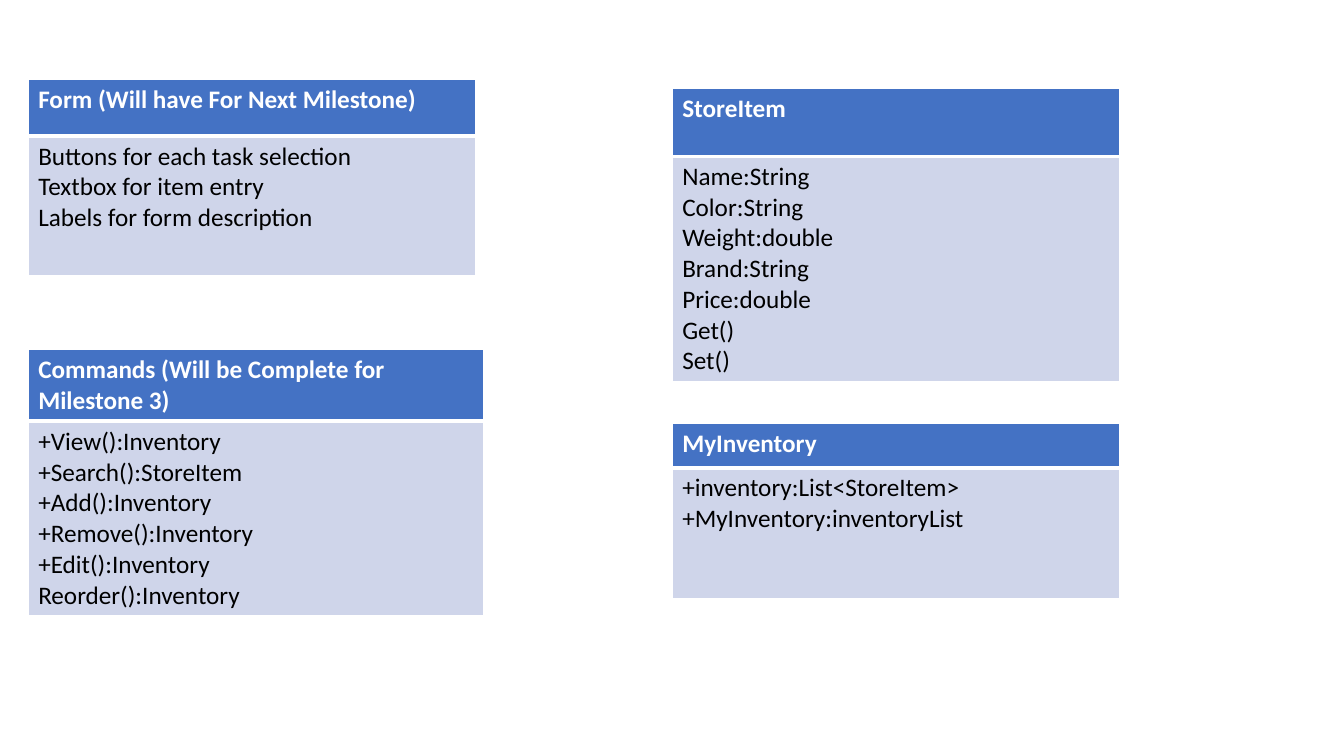
from lxml.etree import SubElement
from pptx import Presentation
from pptx.dml.color import RGBColor
from pptx.oxml.ns import qn
from pptx.util import Cm, Pt

LEFT_COLUMN, RIGHT_COLUMN = 0.71, 16.94
BOX_WIDTH = 11.28


def color(hex_string):
    return RGBColor.from_string(hex_string)


class ClassDiagram:
    font = "Calibri"
    size = 18
    white, black = "FFFFFF", "000000"
    header_fill, body_fill = "4472C4", "CFD5EA"
    thin, thick = 1, 3

    def __init__(self, slide):
        self.slide = slide

    def borders(self, cell, top, bottom):
        """Draw white cell borders; top and bottom are widths in points."""
        properties = cell._tc.get_or_add_tcPr()
        widths = {"L": self.thin, "R": self.thin, "T": top, "B": bottom}
        for side, width in widths.items():
            line = SubElement(properties, qn(f"a:ln{side}"), w=str(Pt(width)))
            fill = SubElement(line, qn("a:solidFill"))
            SubElement(fill, qn("a:srgbClr"), val=self.white)

    def cell(self, cell, lines, fill, text_color, bold):
        cell.fill.solid()
        cell.fill.fore_color.rgb = color(fill)
        frame = cell.text_frame
        for index, line in enumerate(lines):
            paragraph = frame.add_paragraph() if index else frame.paragraphs[0]
            run = paragraph.add_run()
            run.text = line
            run.font.name = self.font
            run.font.size = Pt(self.size)
            run.font.bold = bold
            run.font.color.rgb = color(text_color)

    def class_box(self, left, top, width, heights, name, members):
        """Add a two-row table: class name above its members."""
        table = self.slide.shapes.add_table(
            2, 1, Cm(left), Cm(top), Cm(width), Cm(sum(heights))
        ).table
        table.horz_banding = False
        for row, height in zip(table.rows, heights):
            row.height = Cm(height)
        header, body = table.cell(0, 0), table.cell(1, 0)
        self.borders(header, self.thin, self.thick)
        self.borders(body, self.thick, self.thin)
        self.cell(header, [name], self.header_fill, self.white, True)
        self.cell(body, members, self.body_fill, self.black, False)


def main():
    presentation = Presentation()
    presentation.slide_width, presentation.slide_height = Cm(33.87), Cm(19.05)
    slide = presentation.slides.add_slide(presentation.slide_layouts[6])
    diagram = ClassDiagram(slide)

    diagram.class_box(
        RIGHT_COLUMN, 2.24, BOX_WIDTH, (1.7, 5.59), "StoreItem",
        ["Name:String", "Color:String", "Weight:double", "Brand:String",
         "Price:double", "Get()", "Set()"])
    diagram.class_box(
        LEFT_COLUMN, 8.81, 11.48, (1.78, 4.83),
        "Commands (Will be Complete for Milestone 3)",
        ["+View():Inventory", "+Search():StoreItem", "+Add():Inventory",
         "+Remove():Inventory", "+Edit():Inventory", "Reorder():Inventory"])
    diagram.class_box(
        LEFT_COLUMN, 2.01, BOX_WIDTH, (1.42, 3.51),
        "Form (Will have For Next Milestone)",
        ["Buttons for each task selection", "Textbox for item entry",
         "Labels for form description"])
    diagram.class_box(
        RIGHT_COLUMN, 10.67, BOX_WIDTH, (1.12, 3.3), "MyInventory",
        ["+inventory:List<StoreItem>", "+MyInventory:inventoryList"])

    presentation.save("out.pptx")


if __name__ == "__main__":
    main()
